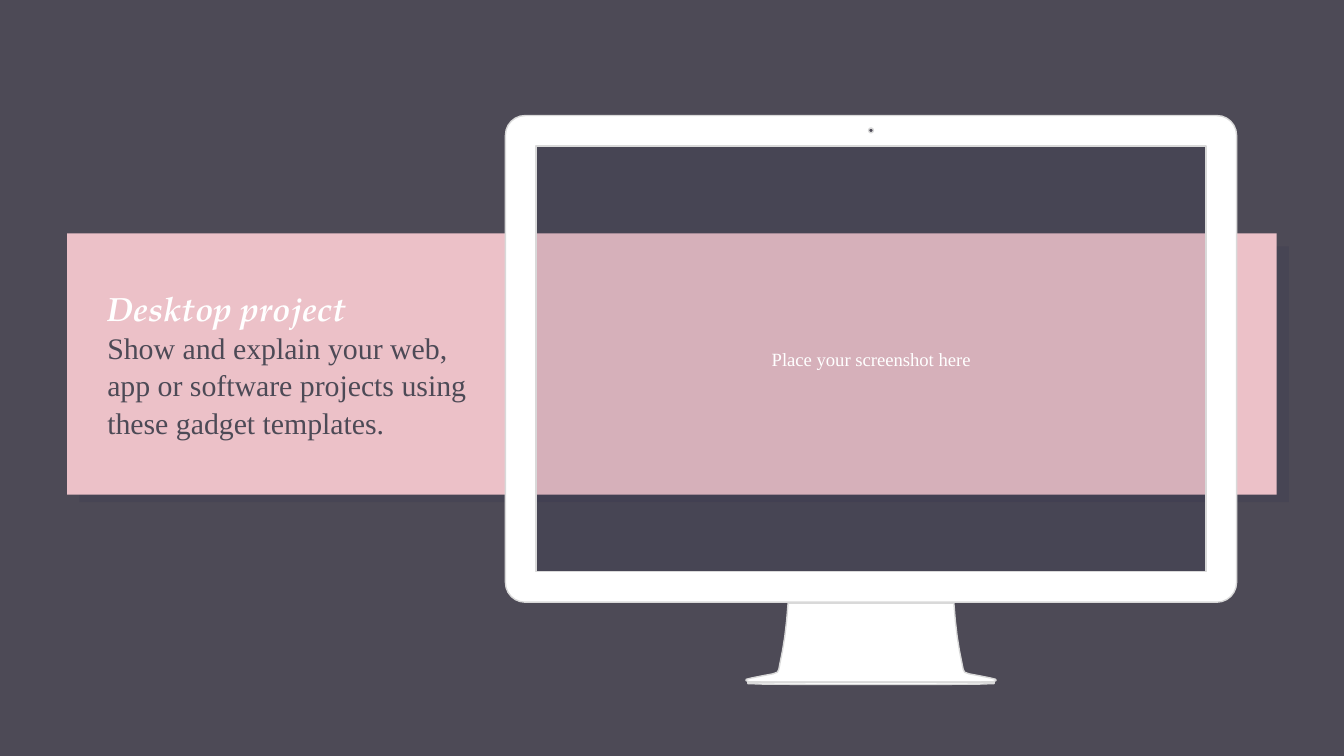
import math
from lxml import etree
from pptx import Presentation
from pptx import util as u
from pptx.dml import color
from pptx.enum import shapes, text
from pptx.oxml import ns

NAVY, PINK, SLATE, WHITE, EDGE = "1B1B46", "ECC1C8", "4D4A56", "FFFFFF", "D9D9D9"
SERIF, DISPLAY = "Times New Roman", "TeX Gyre Pagella"


def paint(target, tone):
    target.rgb = color.RGBColor.from_string(tone)


def fill(part, tone, opacity=100):
    part.shadow.inherit = False
    part.fill.solid()
    paint(part.fill.fore_color, tone)
    if opacity < 100:
        tint = part.fill._xPr.find(".//" + ns.qn("a:srgbClr"))
        etree.SubElement(tint, ns.qn("a:alpha"), val=str(opacity * 1000))


def panel(slide, box, tone, opacity=100):
    area = slide.shapes.add_shape(shapes.MSO_SHAPE.RECTANGLE, *map(u.Pt, box))
    fill(area, tone, opacity)
    area.line.fill.background()
    return area


def write(paragraph, wording, size, tone, face=SERIF, strong=False):
    paragraph.text = wording
    font = paragraph.runs[0].font
    font.size, font.name = u.Pt(size), face
    font.bold = font.italic = strong
    paint(font.color, tone)


def set_frame(frame):
    frame.word_wrap = True
    frame.vertical_anchor = text.MSO_ANCHOR.MIDDLE
    frame.margin_left = frame.margin_right = u.Pt(7.2)
    frame.margin_top = frame.margin_bottom = u.Pt(7.2)


def banner(slide, box, heading, detail):
    left, top, width, height = box
    panel(slide, (left + 6.5, top + 7, width, height - 3), NAVY, 10)
    panel(slide, box, PINK)
    caption = slide.shapes.add_textbox(*map(u.Pt, (left + 14.4, top, 214.5, height)))
    frame = caption.text_frame
    set_frame(frame)
    write(frame.paragraphs[0], heading, 18, WHITE, DISPLAY, True)
    body = frame.add_paragraph()
    write(body, detail, 16, SLATE)
    body.line_spacing = 1.05


def rounded(left, top, width, height, radius):
    centres = [(left + width - radius, top + height - radius), (left + radius, top + height - radius),
               (left + radius, top + radius), (left + width - radius, top + radius)]
    return [(x + radius * math.cos(math.radians(angle)), y + radius * math.sin(math.radians(angle)))
            for quarter, (x, y) in enumerate(centres)
            for angle in range(90 * quarter, 90 * quarter + 91, 15)]


def mirrored(middle, top, profile):
    right = [(middle + x, top + y) for x, y in profile]
    return right + [(2 * middle - x, y) for x, y in reversed(right)]


def monitor(slide, box, prompt):
    left, top, width, height = box
    bezel, middle, bottom = 16.35, left + width / 2, top + height
    screen_box = (left + bezel, top + bezel, width - 2 * bezel, height - 2 * bezel)
    screen = panel(slide, screen_box, NAVY, 10)
    set_frame(screen.text_frame)
    label = screen.text_frame.paragraphs[0]
    write(label, prompt, 10, WHITE)
    label.alignment = text.PP_ALIGN.CENTER

    stand = [(44.4, 0.5), (45.2, 10), (46.2, 18.5), (47.4, 26), (48.6, 32), (49.4, 36), (50.2, 37.5),
             (52.5, 38.4), (58, 39.4), (64, 40.6), (66.8, 41.3), (67, 42), (65.5, 42.6), (55, 42.8)]
    foot = [(66, 42.8), (66, 43.6), (58, 43.9), (30, 44.1)]
    contours = [rounded(middle - 1.25, top + 6.7, 2.5, 2.5, 1.25),
                rounded(*screen_box, 0),
                rounded(*box, 10.5),
                mirrored(middle, bottom, stand),
                mirrored(middle, bottom, foot)]
    outlines = [[(u.Pt(x), u.Pt(y)) for x, y in contour] for contour in contours]
    builder = slide.shapes.build_freeform(*outlines[0][0])
    for number, outline in enumerate(outlines):
        if number:
            builder.move_to(*outline[0])
        builder.add_line_segments(outline[1:], close=True)
    casing = builder.convert_to_shape()
    fill(casing, WHITE)
    casing.line.width = u.Pt(0.75)
    paint(casing.line.color, EDGE)


deck = Presentation()
deck.slide_width, deck.slide_height = u.Pt(720), u.Pt(405)
slide = deck.slides.add_slide(deck.slide_layouts[6])
slide.background.fill.solid()
paint(slide.background.fill.fore_color, SLATE)
banner(slide, (36, 125, 648, 140), "Desktop project",
       "Show and explain your web, app or software projects using these gadget templates.")
monitor(slide, (270.8, 61.9, 391.7, 260.7), "Place your screenshot here")
deck.save("out.pptx")
